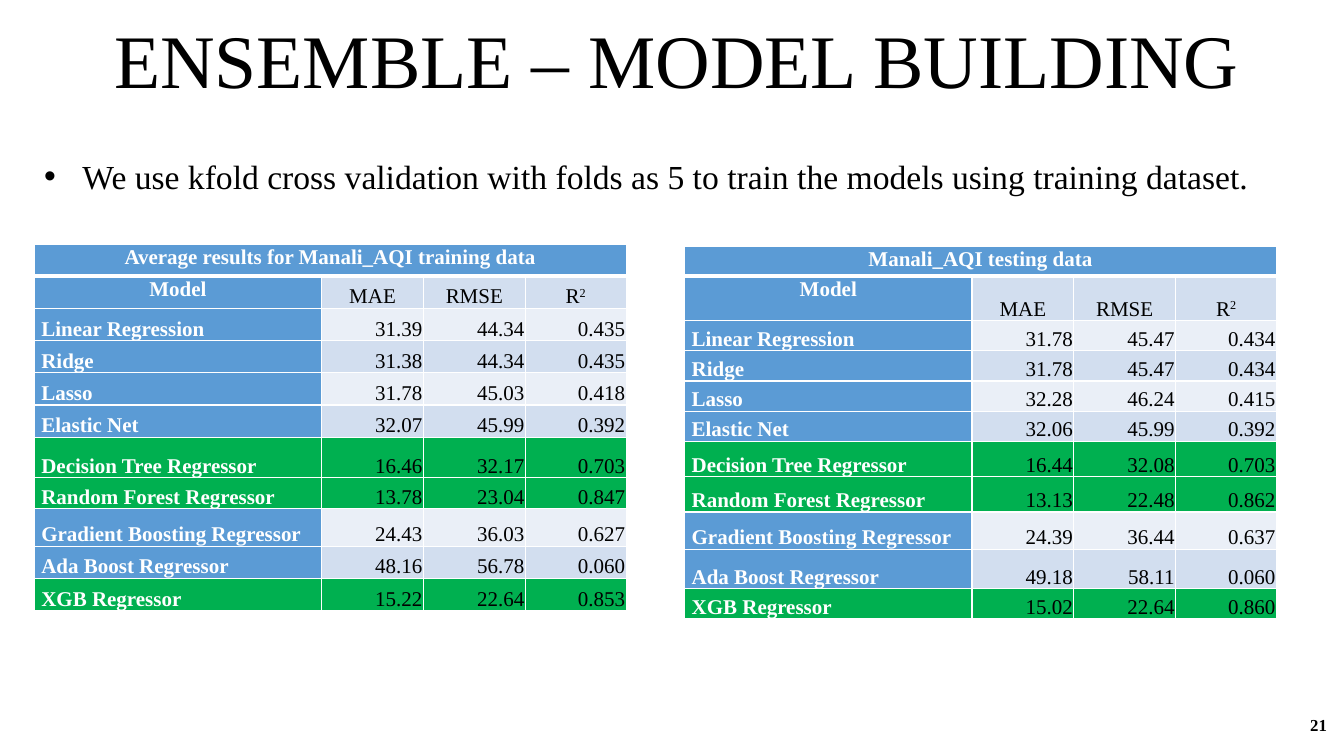
from lxml.etree import SubElement as Sub
from pptx import Presentation
from pptx.dml.color import RGBColor as RGB
from pptx.enum.text import MSO_ANCHOR as Anchor, MSO_AUTO_SIZE as Fit, PP_ALIGN as Align
from pptx.oxml.ns import qn
from pptx.util import Pt

PX = 9144  # 100 px to the inch
FONT = "Times New Roman"
BLACK = RGB(0x00, 0x00, 0x00)
WHITE = RGB(0xFF, 0xFF, 0xFF)
BLUE = RGB(0x5B, 0x9B, 0xD5)
GREEN = RGB(0x00, 0xB0, 0x50)
DARK = RGB(0xD2, 0xDE, 0xEF)
LIGHT = RGB(0xEA, 0xEF, 0xF7)

HEADS = ["Model", "MAE", "RMSE", "R"]
MODELS = ["Linear Regression", "Ridge", "Lasso", "Elastic Net",
          "Decision Tree Regressor", "Random Forest Regressor",
          "Gradient Boosting Regressor", "Ada Boost Regressor", "XGB Regressor"]
BEST = {"Decision Tree Regressor", "Random Forest Regressor", "XGB Regressor"}
COLS = [285, 101, 101, 100]

TRAIN = [("31.39", "44.34", "0.435"), ("31.38", "44.34", "0.435"),
         ("31.78", "45.03", "0.418"), ("32.07", "45.99", "0.392"),
         ("16.46", "32.17", "0.703"), ("13.78", "23.04", "0.847"),
         ("24.43", "36.03", "0.627"), ("48.16", "56.78", "0.060"),
         ("15.22", "22.64", "0.853")]
TEST = [("31.78", "45.47", "0.434"), ("31.78", "45.47", "0.434"),
        ("32.28", "46.24", "0.415"), ("32.06", "45.99", "0.392"),
        ("16.44", "32.08", "0.703"), ("13.13", "22.48", "0.862"),
        ("24.39", "36.44", "0.637"), ("49.18", "58.11", "0.060"),
        ("15.02", "22.64", "0.860")]
TRAIN_ROWS = [32, 32, 32, 32, 32, 32, 40, 31, 37, 32, 32]
TEST_ROWS = [30, 44, 30, 30, 30, 30, 35, 35, 37, 39, 30]


def scale(box):
    return [n * PX for n in box]


def style(para, size, color=BLACK, bold=False, align=Align.LEFT, lead=None):
    para.alignment = align
    if lead:
        para.line_spacing = lead
    for run in para.runs:
        font = run.font
        font.name, font.size, font.bold = FONT, Pt(size), bold
        font.color.rgb = color


def add_title(slide, box, text):
    title = slide.shapes.title
    title.left, title.top, title.width, title.height = scale(box)
    frame = title.text_frame
    frame.text = text
    frame.word_wrap, frame.auto_size = True, Fit.NONE
    frame.vertical_anchor = Anchor.BOTTOM
    style(frame.paragraphs[0], 54, align=Align.CENTER, lead=0.9)


def add_text(slide, box, text, anchor):
    frame = slide.shapes.add_textbox(*scale(box)).text_frame
    frame.word_wrap = True
    frame.vertical_anchor = anchor
    frame.text = text
    return frame.paragraphs[0]


def add_bullet(slide, box, text):
    para = add_text(slide, box, text, Anchor.TOP)
    style(para, 24, lead=0.9)
    para.space_before = Pt(10)
    props = para._p.get_or_add_pPr()
    props.set("marL", str(38 * PX))
    props.set("indent", str(-38 * PX))
    Sub(props, qn("a:buFont"), typeface="Arial")
    Sub(props, qn("a:buChar"), char="•")


def add_number(slide, box, text):
    para = add_text(slide, box, text, Anchor.MIDDLE)
    style(para, 12, bold=True, align=Align.RIGHT)


def add_edges(cell, row):
    props = cell._tc.get_or_add_tcPr()
    for side in "LRTB":
        # A heavy rule parts the caption from the rows below
        heavy = (row, side) in {(0, "B"), (1, "T")}
        line = Sub(props, qn(f"a:ln{side}"), w=str(Pt(3 if heavy else 1)))
        fill = Sub(line, qn("a:solidFill"))
        Sub(fill, qn("a:srgbClr"), val=str(WHITE))


def fill_color(row, col, name):
    if name in BEST:
        return GREEN
    if row == 0 or col == 0:
        return BLUE
    return DARK if row % 2 else LIGHT


def set_cell(cell, row, col, text, name):
    add_edges(cell, row)
    cell.fill.solid()
    cell.fill.fore_color.rgb = fill_color(row, col, name)
    label = row == 0 or col == 0
    value = row > 1 and col > 0
    side = 1 if value else 7
    cell.margin_left = cell.margin_right = side * PX
    cell.margin_top = PX if value else 0
    cell.margin_bottom = 0
    cell.vertical_anchor = Anchor.TOP if row < 2 and label else Anchor.BOTTOM
    cell.text_frame.text = text
    para = cell.text_frame.paragraphs[0]
    if text == "R":
        power = para.add_run()
        power.text = "2"
        power._r.get_or_add_rPr().set("baseline", "30000")
    align = Align.CENTER if row < 2 else Align.RIGHT if value else Align.LEFT
    style(para, 15, WHITE if label else BLACK, label, align, None if value else 1.07)


def add_scores(slide, box, caption, scores, heights):
    rows = [[caption, "", "", ""], HEADS]
    rows += [[name, *vals] for name, vals in zip(MODELS, scores)]
    table = slide.shapes.add_table(len(rows), len(COLS), *scale(box)).table
    table.first_row = table.horz_banding = False
    for col, width in zip(table.columns, COLS):
        col.width = width * PX
    for line, height in zip(table.rows, heights):
        line.height = height * PX
    for row, texts in enumerate(rows):
        for col, text in enumerate(texts):
            set_cell(table.cell(row, col), row, col, text, texts[0])
    table.cell(0, 0).merge(table.cell(0, len(COLS) - 1))


def main():
    deck = Presentation()
    deck.slide_width, deck.slide_height = scale((1333, 750))
    slide = deck.slides.add_slide(deck.slide_layouts[5])
    add_title(slide, (34, 21, 1274, 88), "ENSEMBLE – MODEL BUILDING")
    add_bullet(slide, (34, 154, 1274, 526),
               "We use kfold cross validation with folds as 5 to train "
               "the models using training dataset.")
    add_number(slide, (1026, 699, 300, 40), "21")
    add_scores(slide, (34, 242, 587, 366),
               "Average results for Manali_AQI training data", TRAIN, TRAIN_ROWS)
    add_scores(slide, (679, 244, 587, 366),
               "Manali_AQI testing data", TEST, TEST_ROWS)
    deck.save("out.pptx")


if __name__ == "__main__":
    main()
